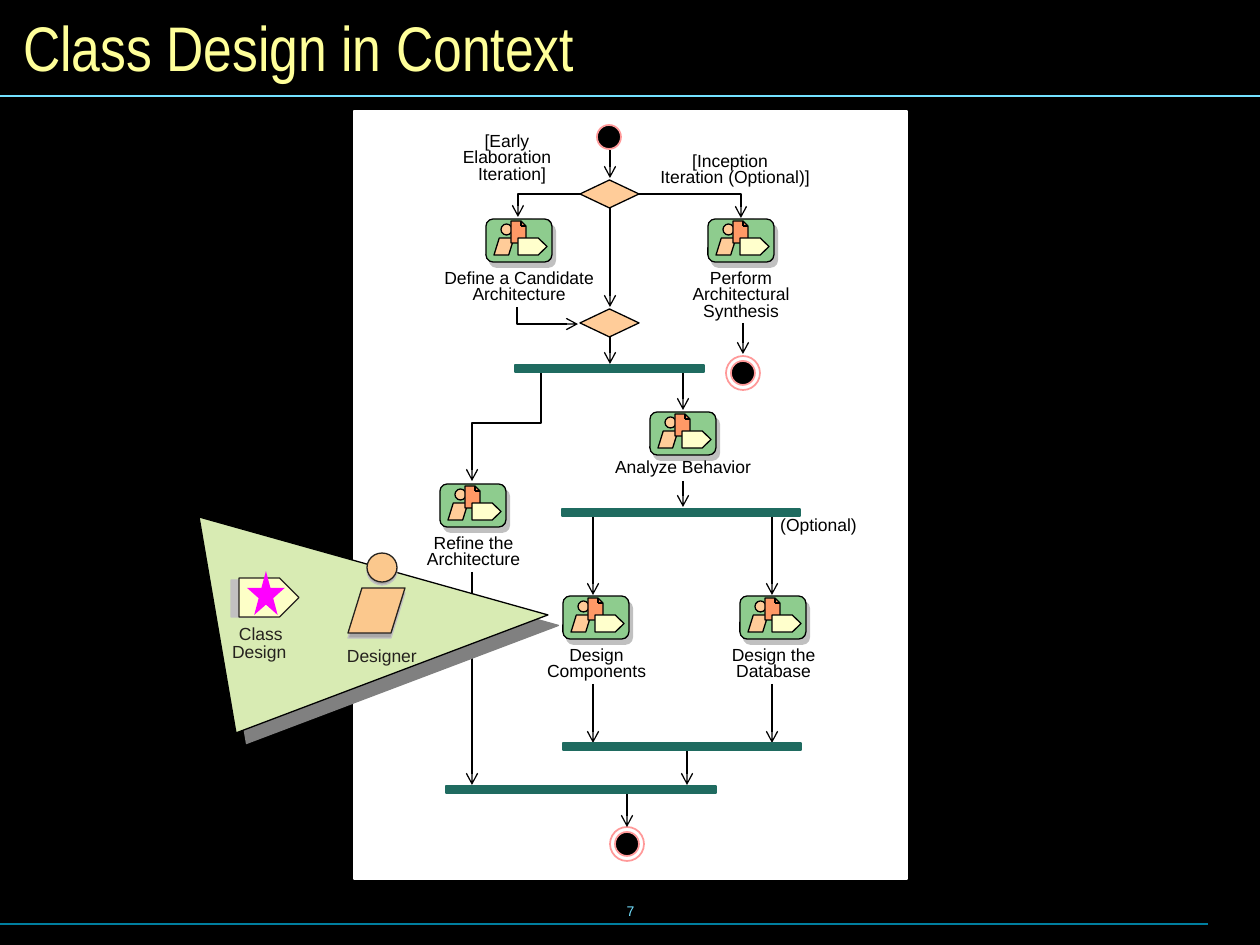
from lxml import etree
from pptx import Presentation
from pptx.dml.color import RGBColor
from pptx.enum.shapes import MSO_CONNECTOR, MSO_SHAPE
from pptx.enum.text import MSO_ANCHOR, PP_ALIGN
from pptx.oxml.ns import qn
from pptx.util import Emu, Pt

PX = 914400 / 126
LEFT, CENTER = PP_ALIGN.LEFT, PP_ALIGN.CENTER
TOP, MIDDLE = MSO_ANCHOR.TOP, MSO_ANCHOR.MIDDLE
STRAIGHT = MSO_CONNECTOR.STRAIGHT
RECT, OVAL, DIAMOND = MSO_SHAPE.RECTANGLE, MSO_SHAPE.OVAL, MSO_SHAPE.DIAMOND
ROUNDED, SLANTED = MSO_SHAPE.ROUNDED_RECTANGLE, MSO_SHAPE.PARALLELOGRAM
TAG, STAR = MSO_SHAPE.PENTAGON, MSO_SHAPE.STAR_5_POINT
BLACK, INK, PEACH, TEAL = "000000", "25221E", "FFCC99", "1F6B60"
RING, CYAN = "FF9999", "73E1FF"

ACTIVITIES = [
    (132, 108, 198, ["Define a Candidate", "Architecture"]),
    (354, 108, 154, ["Perform", "Architectural", "Synthesis"]),
    (296, 301, 166, ["Analyze Behavior"]),
    (86, 373, 125, ["Refine the", "Architecture"]),
    (209, 485, 131, ["Design", "Components"]),
    (386, 485, 131, ["Design the", "Database"]),
]
GUARDS = [
    (76, 23, 154, ["[Early", "Elaboration", "Iteration]"], 10),
    (277, 43, 198, ["[Inception", "Iteration (Optional)]"], 10),
    (411, 411, 107, ["(Optional)"], 0),
]
FLOWS = [
    [(226, 83), (164, 83), (164, 106)],
    [(284, 83), (387, 83), (387, 107)],
    [(163, 196), (163, 213), (224, 213)],
    [(187, 259), (187, 312), (118, 312), (118, 370)],
    [(256, 39), (256, 67)],
    [(256, 96), (256, 196)],
    [(256, 225), (256, 253)],
    [(389, 212), (389, 243)],
    [(329, 259), (329, 299)],
    [(329, 370), (329, 396)],
    [(239, 403), (239, 484)],
    [(418, 403), (418, 484)],
    [(239, 573), (239, 632)],
    [(418, 573), (418, 632)],
    [(333, 639), (333, 674)],
    [(118, 461), (118, 674)],
    [(273, 680), (273, 716)],
]
BARS = [(161, 254, 189), (208, 398, 238), (209, 632, 238), (92, 675, 270)]


def px(*lengths):
    """Turn pixel lengths into EMU."""
    return [Emu(round(length * PX)) for length in lengths]


def color(hex_string):
    """Turn a hex string into a colour."""
    return RGBColor.from_string(hex_string)


def paint(item, fill, line, width=0.75):
    """Set fill and outline, with None for neither, and drop the shadow."""
    item.shadow.inherit = False
    if fill:
        item.fill.solid()
        item.fill.fore_color.rgb = color(fill)
    else:
        item.fill.background()
    if line:
        item.line.color.rgb = color(line)
        item.line.width = Pt(width)
    else:
        item.line.fill.background()
    return item


def add_preset(slide, kind, box, fill, line=BLACK, width=0.75, adjust=None):
    """Add a preset shape in a pixel box."""
    item = slide.shapes.add_shape(kind, *px(*box))
    if adjust is not None:
        item.adjustments[0] = adjust
    return paint(item, fill, line, width)


def add_outline(slide, points, fill=None, close=True):
    """Add a freeform through pixel points."""
    builder = slide.shapes.build_freeform(*points[0], scale=PX)
    builder.add_line_segments(points[1:], close=close)
    return paint(builder.convert_to_shape(), fill, BLACK)


def add_line(slide, start, end, hex_string=BLACK):
    """Add a straight line without shadow."""
    line = slide.shapes.add_connector(STRAIGHT, *px(*start, *end))
    line.line.color.rgb = color(hex_string)
    line.line.width = Pt(0.75)
    etree.SubElement(line._element.spPr, qn("a:effectLst"))
    return line


def add_shadow(item, hex_string, distance, angle):
    """Give a shape a hard offset shadow."""
    effects = item._element.spPr.find(qn("a:effectLst"))
    shadow = etree.SubElement(effects, qn("a:outerShdw"), dist=str(Pt(distance)),
                              dir=str(angle * 60000), algn="ctr", rotWithShape="0")
    etree.SubElement(shadow, qn("a:srgbClr"), val=hex_string)


def add_text(slide, box, lines, size=10, hex_string=BLACK, font="Arial", align=LEFT,
             anchor=TOP, margins=(0, 0), spacing=None, before=0, last_indent=0):
    """Add one paragraph per line of text in a pixel box."""
    frame = slide.shapes.add_textbox(*px(*box)).text_frame
    frame.word_wrap, frame.vertical_anchor = True, anchor
    frame.margin_left = frame.margin_right = px(margins[0])[0]
    frame.margin_top = frame.margin_bottom = px(margins[1])[0]
    frame.text = "\n".join(lines)
    for paragraph in frame.paragraphs:
        paragraph.alignment = align
        paragraph.line_spacing = spacing
        paragraph.space_before = Pt(before)
        paragraph.font.size, paragraph.font.name = Pt(size), font
        paragraph.font.color.rgb = color(hex_string)
    if last_indent:
        paragraph._p.get_or_add_pPr().set("marL", str(px(last_indent)[0]))


def add_label(slide, x, y, width, lines, last_indent=0):
    """Add a tightly set, centred diagram label."""
    add_text(slide, (x, y, width, 18 * len(lines) + 4), lines, align=CENTER,
             margins=(15, 8), spacing=0.35, before=5, last_indent=last_indent)


def add_flow(slide, points):
    """Add an arrow through two or more points."""
    if len(points) == 2:
        flow = add_line(slide, *points)
    else:
        flow = add_outline(slide, points, close=False)
    etree.SubElement(flow.line._get_or_add_ln(), qn("a:tailEnd"), type="arrow")


def add_activity(slide, x, y, label_width, lines):
    """Add an activity icon with its label below."""
    card = add_preset(slide, ROUNDED, (x, y, 66, 43), "8ECC8E", adjust=0.167)
    add_shadow(card, "C0C0C0", 3.6, 56)
    add_preset(slide, SLANTED, (x + 8, y + 19, 20, 17), PEACH, adjust=0.31)
    add_preset(slide, OVAL, (x + 15, y + 5, 11, 11), PEACH)
    sheet = [(25, 2), (25, 24), (40, 24), (40, 7), (35, 2)]
    add_outline(slide, [(x + dx, y + dy) for dx, dy in sheet], "FF9966")
    add_line(slide, (x + 35, y + 2), (x + 35, y + 7))
    add_line(slide, (x + 40, y + 7), (x + 35, y + 7))
    add_preset(slide, TAG, (x + 32, y + 19, 29, 17), "FFFFCC", adjust=0.516)
    add_label(slide, x + 33 - label_width // 2, y + 52, label_width, lines)


def add_workflow(slide, x, y, width, height):
    """Add the white panel with the activity diagram."""
    add_preset(slide, RECT, (x, y, width, height), "FFFFFF", "FFFFFF")
    add_preset(slide, OVAL, (x + 243, y + 14, 24, 24), BLACK, RING, 1)
    for dx, dy in [(372, 245), (256, 716)]:
        add_preset(slide, OVAL, (x + dx + 5, y + dy + 5, 24, 24), BLACK, RING, 1)
        add_preset(slide, OVAL, (x + dx, y + dy, 34, 34), None, RING, 1)
    for dx, dy, label_width, lines in ACTIVITIES:
        add_activity(slide, x + dx, y + dy, label_width, lines)
    for dx, dy, label_width, lines, indent in GUARDS:
        add_label(slide, x + dx, y + dy, label_width, lines, indent)
    for points in FLOWS:
        add_flow(slide, [(x + dx, y + dy) for dx, dy in points])
    for dy in (69, 198):
        add_preset(slide, DIAMOND, (x + 226, y + dy, 59, 28), PEACH)
    for dx, dy, length in BARS:
        add_preset(slide, RECT, (x + dx, y + dy, length, 7), TEAL, TEAL)


def add_callout(slide, x, y, width, height):
    """Add the triangle that points out the class design step."""
    corners = [(x + 37, y + height), (x + width, y + 98), (x, y)]
    add_shadow(add_outline(slide, corners, "D8EBB3"), "808080", 8.5, 45)
    captions = [("Class", 40, 108, 60), ("Design", 33, 126, 70), ("Designer", 148, 130, 86)]
    for caption, dx, dy, length in captions:
        add_text(slide, (x + dx, y + dy, length, 21), [caption], hex_string=INK,
                 spacing=0.9, before=5)
    add_preset(slide, TAG, (x + 32, y + 63, 59, 37), "C2C1C1", "C2C1C1", 0, 0.5)
    add_preset(slide, TAG, (x + 40, y + 61, 60, 39), "FDFFC7", INK, 0, 0.5)
    for dy, body_dy, fill, line in [(39, 76, "A9A8A7", "C2C1C1"), (36, 71, "FBC88D", INK)]:
        add_preset(slide, OVAL, (x + 168, y + dy, 30, 29), fill, line, 0)
        add_preset(slide, SLANTED, (x + 149, y + body_dy, 57, 45), fill, line, 0, 0.31)
    add_preset(slide, STAR, (x + 48, y + 54, 38, 44), "FF00FF", None)


def add_frame(slide, width):
    """Add the title, the rules and the page number."""
    add_text(slide, (431, 879, 399, 63), ["7"], 8, CYAN, align=CENTER,
             anchor=MIDDLE, margins=(13, 6))
    add_line(slide, (0, 924), (width - 52, 924), "007E9F")
    add_line(slide, (0, 96), (width, 96), CYAN)
    add_text(slide, (10, 10, width - 20, 73), ["Class Design in Context"], 36, "FFFF99",
             "Arial Narrow", anchor=MIDDLE, margins=(13, 6))


def main():
    """Build and save the slide."""
    deck = Presentation()
    deck.slide_width, deck.slide_height = px(1260, 945)
    slide = deck.slides.add_slide(deck.slide_layouts[6])
    slide.background.fill.solid()
    slide.background.fill.fore_color.rgb = color(BLACK)
    add_frame(slide, 1260)
    add_workflow(slide, 354, 111, 553, 768)
    add_callout(slide, 199, 517, 349, 216)
    deck.save("out.pptx")


if __name__ == "__main__":
    main()
